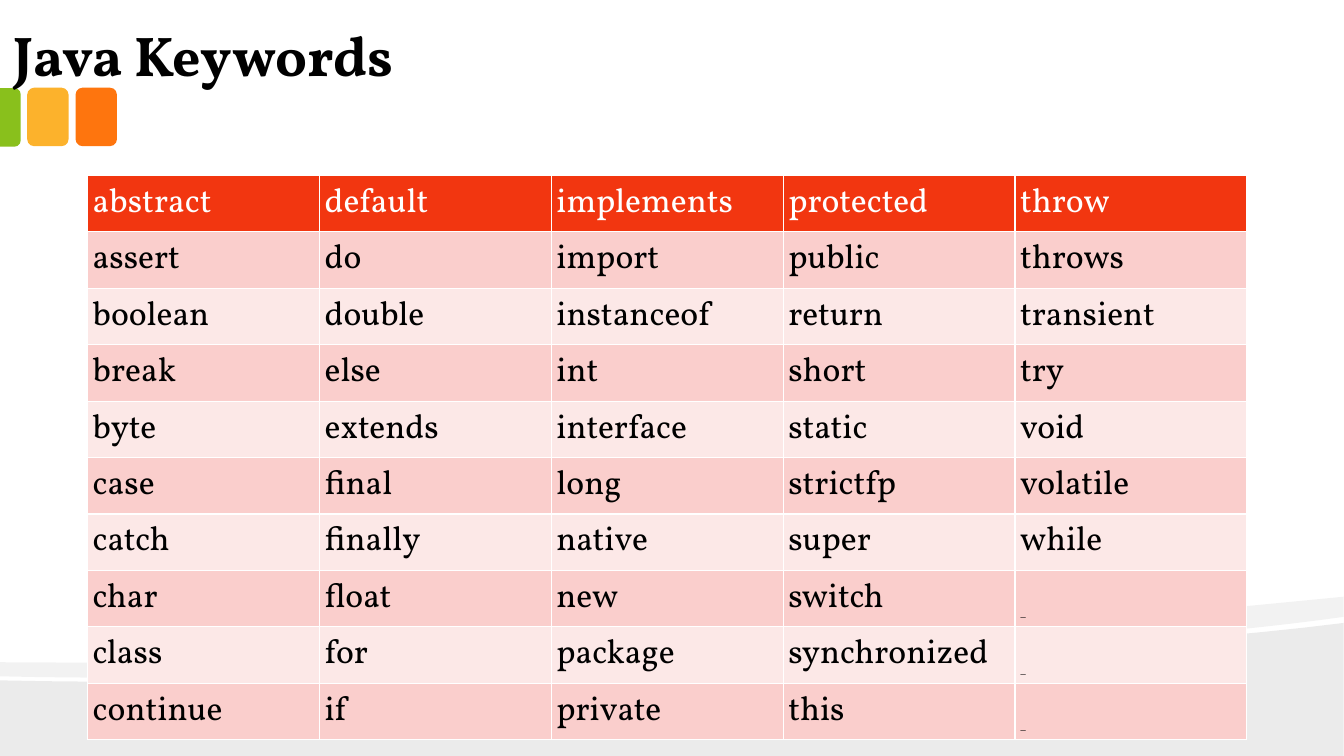
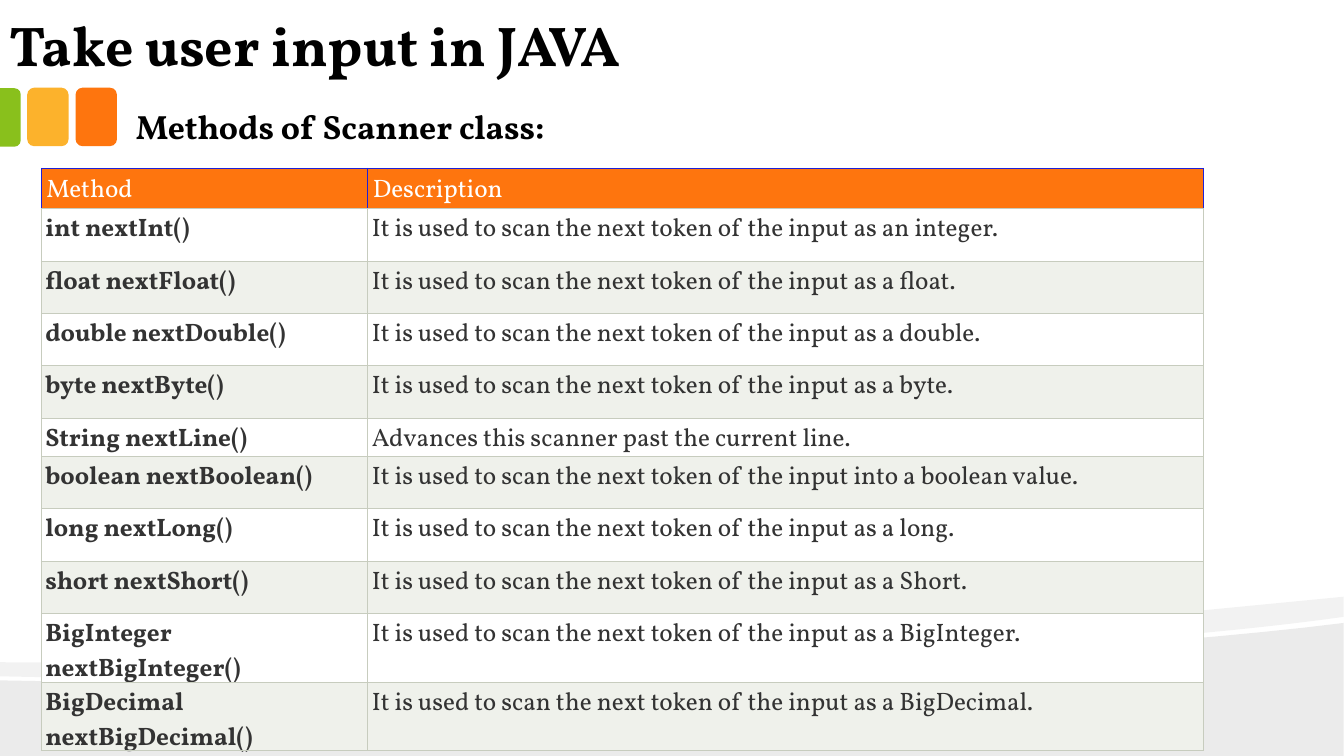
"""Build two Java lesson slides: a keyword table and the Scanner methods."""
from lxml import etree
from pptx import Presentation
from pptx.dml.color import RGBColor
from pptx.enum.shapes import MSO_SHAPE
from pptx.enum.text import MSO_ANCHOR, PP_ALIGN
from pptx.oxml.ns import qn
from pptx.util import Inches, Pt

ROUNDED = MSO_SHAPE.ROUNDED_RECTANGLE
ROUNDED_TOP = MSO_SHAPE.ROUND_2_SAME_RECTANGLE
BOTTOM, TOP = MSO_ANCHOR.BOTTOM, MSO_ANCHOR.TOP
LEFT, JUSTIFY = PP_ALIGN.LEFT, PP_ALIGN.JUSTIFY

COLORS = {
    "black": "000000", "white": "FFFFFF", "ink": "333333",
    "orange": "FE750E", "amber": "FCB22C", "green": "89C01C",
    "red": "F23610", "rose": "FACECC", "blush": "FCE8E7",
    "mist": "EFF1EB", "rule": "C7CCBE", "blue": "2020D5",
}
FONT = "Vollkorn"
TITLE = {"size": Pt(40), "bold": True, "color": "black"}
SUBTITLE = {"size": Pt(24), "bold": True, "color": "black"}
TITLE_FRAME = {
    "word_wrap": True, "vertical_anchor": BOTTOM,
    "margin_left": Inches(0.13), "margin_right": Inches(0.13),
    "margin_top": Inches(0.07), "margin_bottom": Inches(0.07),
}
SUBTITLE_FRAME = {"word_wrap": True, "vertical_anchor": TOP}

BLANK = "_"
KEYWORD_ROWS = [line.split() for line in (
    "abstract default implements protected throw",
    "assert do import public throws",
    "boolean double instanceof return transient",
    "break else int short try",
    "byte extends interface static void",
    "case final long strictfp volatile",
    "catch finally native super while",
    "char float new switch _",
    "class for package synchronized _",
    "continue if private this _",
)]
SCAN = "It is used to scan the next token of the input "
METHOD_ROWS = [
    ("Method", "Description"),
    ("int nextInt()", SCAN + "as an integer."),
    ("float nextFloat()", SCAN + "as a float."),
    ("double nextDouble()", SCAN + "as a double."),
    ("byte nextByte()", SCAN + "as a byte."),
    ("String nextLine()", "Advances this scanner past the current line."),
    ("boolean nextBoolean()", SCAN + "into a boolean value."),
    ("long nextLong()", SCAN + "as a long."),
    ("short nextShort()", SCAN + "as a Short."),
    ("BigInteger nextBigInteger()", SCAN + "as a BigInteger."),
    ("BigDecimal nextBigDecimal()", SCAN + "as a BigDecimal."),
]
KEYWORD_STYLE = {
    "head_fill": "red", "bands": ("rose", "blush"), "ink": "black",
    "size": 24, "head_margin": 0.05, "margin": 0.05, "align": LEFT,
    "bold_first": False, "border": "white", "head_border": "white", "width": 1,
}
METHOD_STYLE = {
    "head_fill": "orange", "bands": ("white", "mist"), "ink": "ink",
    "size": 18, "head_margin": 0.05, "margin": 0.04, "align": JUSTIFY,
    "bold_first": True, "border": "rule", "head_border": "blue", "width": 0.75,
}


def rgb(name):
    """Return the named palette colour."""
    return RGBColor.from_string(COLORS[name])


def apply(target, values):
    """Set every attribute in a dict of format values."""
    for name, value in values.items():
        setattr(target, name, value)


def write(frame, text, style, align=LEFT):
    """Write one styled run into the first paragraph of a text frame."""
    para = frame.paragraphs[0]
    para.alignment = align
    span = para.add_run()
    span.text = text
    span.font.name = FONT
    span.font.color.rgb = rgb(style["color"])
    apply(span.font, {key: style[key] for key in ("size", "bold")})


def add_text(page, place, text, style, frame_format):
    """Add a text box."""
    box = page.shapes.add_textbox(*map(Inches, place))
    apply(box.text_frame, frame_format)
    write(box.text_frame, text, style)


def paint(shape, color, alpha=None):
    """Give a shape a plain fill, optionally with opacity in percent."""
    shape.shadow.inherit = False
    shape.line.fill.background()
    shape.fill.solid()
    shape.fill.fore_color.rgb = rgb(color)
    if alpha is not None:
        tint = next(shape.fill._xPr.iter(qn("a:srgbClr")))
        etree.SubElement(tint, qn("a:alpha"), val=str(alpha * 1000))


def curve(start, first, second, end, steps=24):
    """Return points along a cubic curve, both ends included."""
    points = []
    for step in range(steps + 1):
        t = step / steps
        weights = ((1 - t) ** 3, 3 * t * (1 - t) ** 2, 3 * t * t * (1 - t), t ** 3)
        points.append(tuple(
            sum(weight * value for weight, value in zip(weights, axis))
            for axis in zip(start, first, second, end)))
    return points


def add_wave(page, points, alpha):
    """Add a translucent closed outline."""
    corners = [(Inches(x), Inches(y)) for x, y in points]
    builder = page.shapes.build_freeform(*corners[0], scale=1.0)
    builder.add_line_segments(corners[1:], close=True)
    paint(builder.convert_to_shape(), "black", alpha)


def add_backdrop(page):
    """Draw the waves and colour tabs that all pages share."""
    page.background.fill.solid()
    page.background.fill.fore_color.rgb = rgb("white")
    hill = curve((0, 6.75), (3.52, 6.83), (10.42, 6.55), (13.33, 6.18))
    add_wave(page, hill + [(13.33, 7.5), (0, 7.5)], 8)
    ribbon = (
        curve((13.33, 6.12), (12.55, 6.23), (11.49, 6.33), (10.29, 6.41))
        + curve((10.29, 6.41), (6.98, 6.63), (2.58, 6.77), (0, 6.71))
        + curve((0, 6.57), (6.52, 6.62), (9.71, 6.27), (13.33, 5.92)))
    add_wave(page, ribbon, 5)
    for left, color in ((0.75, "orange"), (0.27, "amber")):
        tab = page.shapes.add_shape(
            ROUNDED, *map(Inches, (left, 0.87, 0.41, 0.58)))
        paint(tab, color)
    edge_tab = page.shapes.add_shape(
        ROUNDED_TOP, *map(Inches, (-0.19, 1.06, 0.58, 0.21)))
    edge_tab.rotation = 90
    edge_tab.adjustments[0] = 0.29
    paint(edge_tab, "green")


def set_borders(cell, colors, width):
    """Draw the left, right, top and bottom cell borders."""
    properties = cell._tc.get_or_add_tcPr()
    for side, color in zip("LRTB", colors):
        line = etree.SubElement(properties, qn("a:ln" + side), w=str(Pt(width)))
        fill = etree.SubElement(line, qn("a:solidFill"))
        etree.SubElement(fill, qn("a:srgbClr"), val=COLORS[color])


def format_cell(cell, text, row, column, style):
    """Fill one table cell according to its row and column."""
    head = row == 0
    edge = style["head_border"] if head else style["border"]
    set_borders(cell, (edge, edge, edge, style["border"]), style["width"])
    cell.fill.solid()
    cell.fill.fore_color.rgb = rgb(
        style["head_fill"] if head else style["bands"][(row - 1) % 2])
    margin = Inches(style["head_margin"] if head else style["margin"])
    apply(cell, {"margin_" + side: margin
                 for side in ("left", "right", "top", "bottom")})
    cell.vertical_anchor = BOTTOM if text == BLANK else TOP
    font = {
        "size": Pt(8 if text == BLANK else style["size"]),
        "bold": style["bold_first"] and column == 0 and not head,
        "color": "white" if head else style["ink"],
    }
    write(cell.text_frame, text, font, LEFT if head else style["align"])


def add_grid(page, place, rows, widths, heights, style):
    """Add a table with a header row and banded body rows."""
    frame = page.shapes.add_table(len(rows), len(widths), *map(Inches, place))
    table = frame.table
    table.horz_banding = False
    for column, width in zip(table.columns, widths):
        column.width = Inches(width)
    for row, height in zip(table.rows, heights):
        row.height = Inches(height)
    frame.height = Inches(place[3])
    for row, texts in enumerate(rows):
        for column, text in enumerate(texts):
            format_cell(table.cell(row, column), text, row, column, style)


def add_page(deck, title, place):
    """Add a blank page with the shared backdrop and a title."""
    page = deck.slides.add_slide(deck.slide_layouts[6])
    add_backdrop(page)
    add_text(page, place, title, TITLE, TITLE_FRAME)
    return page


def main():
    """Build and save the deck."""
    deck = Presentation()
    deck.slide_width, deck.slide_height = Inches(40 / 3), Inches(7.5)

    page = add_page(deck, "Java Keywords", (0, 0.01, 10.26, 0.93))
    add_grid(page, (0.87, 1.74, 11.51, 5.67), KEYWORD_ROWS,
             [2.3] * 5, [0.56] * 10, KEYWORD_STYLE)

    page = add_page(deck, "Take user input in JAVA", (-0.04, 0.01, 10.37, 0.83))
    add_text(page, (1.25, 1, 11.58, 0.5), "Methods of Scanner class:",
             SUBTITLE, SUBTITLE_FRAME)
    heights = [0.24] + [0.52] * 4 + [0.36] + [0.52] * 5
    add_grid(page, (0.41, 1.67, 11.53, 5.69), METHOD_ROWS,
             [3.24, 8.29], heights, METHOD_STYLE)

    deck.save("out.pptx")


if __name__ == "__main__":
    main()
